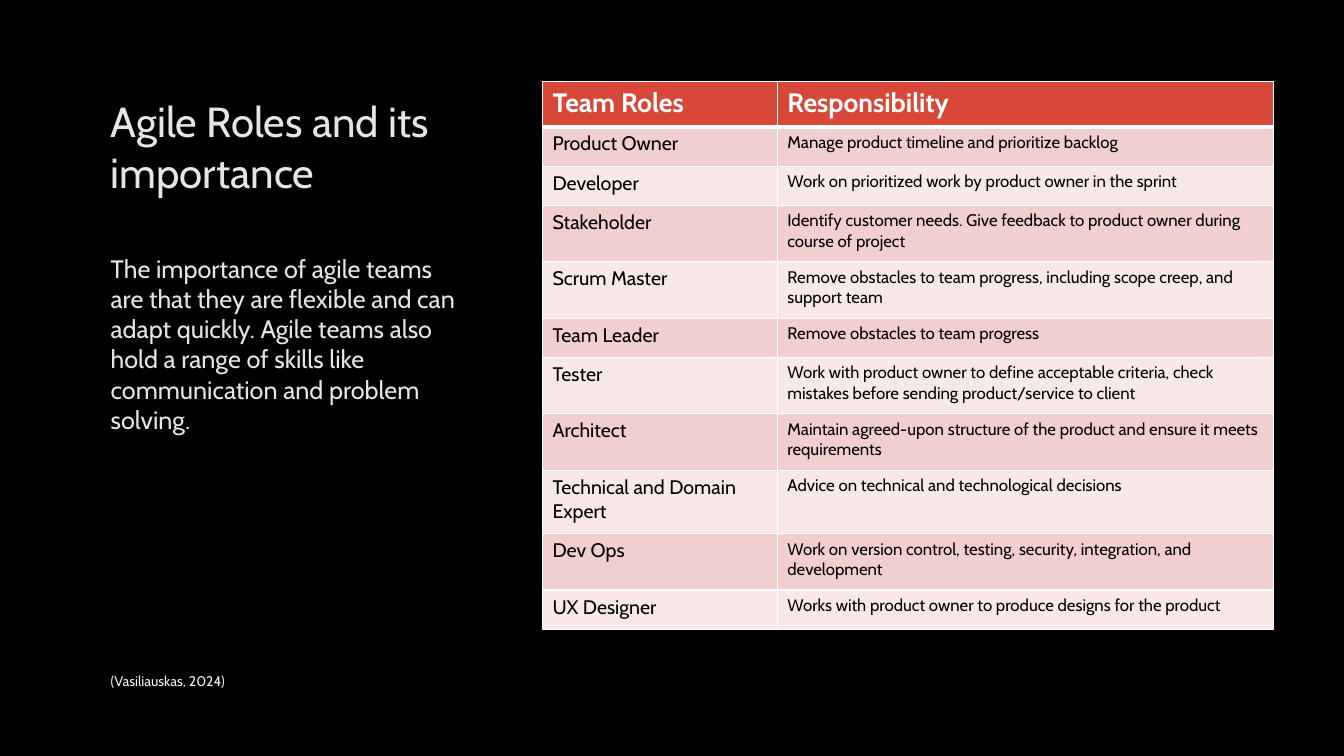
from dataclasses import dataclass

from lxml import etree
from pptx import Presentation
from pptx import util as u
from pptx.dml.color import RGBColor
from pptx.enum import text
from pptx.oxml.ns import qn


@dataclass(frozen=True)
class Theme:
    font: str = "Cabin"
    back: str = "000000"
    pale: str = "E2E8E4"
    note: str = "F2F2F2"
    white: str = "FFFFFF"
    black: str = "000000"
    head: str = "D74839"
    bands: tuple = ("F0CFCE", "F8E9E8")
    title_size: int = 30
    body_size: int = 18
    note_size: int = 10
    head_size: int = 19
    role_size: int = 14
    duty_size: int = 12


ROLES = [
    ("Product Owner", "Manage product timeline and prioritize backlog"),
    ("Developer", "Work on prioritized work by product owner in the sprint"),
    ("Stakeholder", "Identify customer needs. Give feedback to product owner "
                    "during course of project"),
    ("Scrum Master", "Remove obstacles to team progress, including scope creep, "
                     "and support team"),
    ("Team Leader", "Remove obstacles to team progress"),
    ("Tester", "Work with product owner to define acceptable criteria, check "
               "mistakes before sending product/service to client"),
    ("Architect", "Maintain agreed-upon structure of the product and ensure it "
                  "meets requirements"),
    ("Technical and Domain Expert",
     "Advice on technical and technological decisions"),
    ("Dev Ops", "Work on version control, testing, security, integration, "
                "and development"),
    ("UX Designer", "Works with product owner to produce designs for the product"),
]
HEAD = ("Team Roles", "Responsibility")
COLS = (5.92, 12.5)
ONE, TWO, TALL = 0.99, 1.42, 1.6
ROWS = (1.14, ONE, ONE, TWO, TWO, ONE, TWO, TWO, TALL, TWO, ONE)


class Deck:
    def __init__(self, theme):
        self.theme = theme
        self.prs = Presentation()
        self.prs.slide_width, self.prs.slide_height = u.Cm(33.87), u.Cm(19.05)
        self.slide = self.prs.slides.add_slide(self.prs.slide_layouts[6])
        self.paint(self.slide.background.fill, theme.back)

    def paint(self, fill, color):
        fill.solid()
        fill.fore_color.rgb = RGBColor.from_string(color)

    def put(self, frame, words, size, color, bold=False, after=0):
        para = frame.paragraphs[0]
        para.space_after = u.Pt(after)
        run = para.add_run()
        run.text = words
        style = {"name": self.theme.font, "size": u.Pt(size), "bold": bold}
        for key, value in style.items():
            setattr(run.font, key, value)
        run.font.color.rgb = RGBColor.from_string(color)

    def label(self, box, words, size, color, anchor, after=0):
        frame = self.slide.shapes.add_textbox(*map(u.Cm, box)).text_frame
        form = {"word_wrap": True, "auto_size": text.MSO_AUTO_SIZE.NONE,
                "vertical_anchor": anchor}
        for key, value in form.items():
            setattr(frame, key, value)
        self.put(frame, words, size, color, after=after)

    def border(self, cell, widths):
        props = cell._tc.get_or_add_tcPr()
        for spot, (side, width) in enumerate(widths.items()):
            line = etree.Element(qn(f"a:ln{side}"), w=str(u.Pt(width)))
            fill = etree.SubElement(line, qn("a:solidFill"))
            etree.SubElement(fill, qn("a:srgbClr"), val=self.theme.white)
            props.insert(spot, line)

    def table(self, left, top, cols, rows, data):
        look = self.theme
        grid = self.slide.shapes.add_table(
            len(rows), len(cols), u.Cm(left), u.Cm(top),
            u.Cm(sum(cols)), u.Cm(sum(rows))).table
        for col, width in zip(grid.columns, cols):
            col.width = u.Cm(width)
        for row, height in zip(grid.rows, rows):
            row.height = u.Cm(height)
        for r, line in enumerate(data):
            for c, words in enumerate(line):
                cell = grid.cell(r, c)
                # Header row, then alternating bands
                if r == 0:
                    fill, size, color = look.head, look.head_size, look.white
                else:
                    fill, color = look.bands[(r - 1) % 2], look.black
                    size = (look.role_size, look.duty_size)[c]
                self.paint(cell.fill, fill)
                self.put(cell.text_frame, words, size, color, bold=r == 0)
                self.border(cell, {"L": 1, "R": 1, "T": 3 if r == 1 else 1,
                                   "B": 3 if r == 0 else 1})


def main():
    look = Theme()
    deck = Deck(look)
    mid, top = text.MSO_ANCHOR.MIDDLE, text.MSO_ANCHOR.TOP

    # Title, summary and citation
    deck.label((2.54, 1.78, 9.4, 3.81), "Agile Roles and its importance",
               look.title_size, look.pale, mid)
    deck.label((2.54, 6.25, 9.32, 9.86),
               "The importance of agile teams are that they are flexible and can "
               "adapt quickly. Agile teams also hold a range of skills like "
               "communication and problem solving.",
               look.body_size, look.pale, top, after=6)
    deck.label((2.54, 16.66, 18.54, 1.02), "(Vasiliauskas, 2024)",
               look.note_size, look.note, mid, after=6)

    # Roles table
    deck.table(13.67, 2.06, COLS, ROWS, [HEAD, *ROLES])

    deck.prs.save("out.pptx")


if __name__ == "__main__":
    main()
